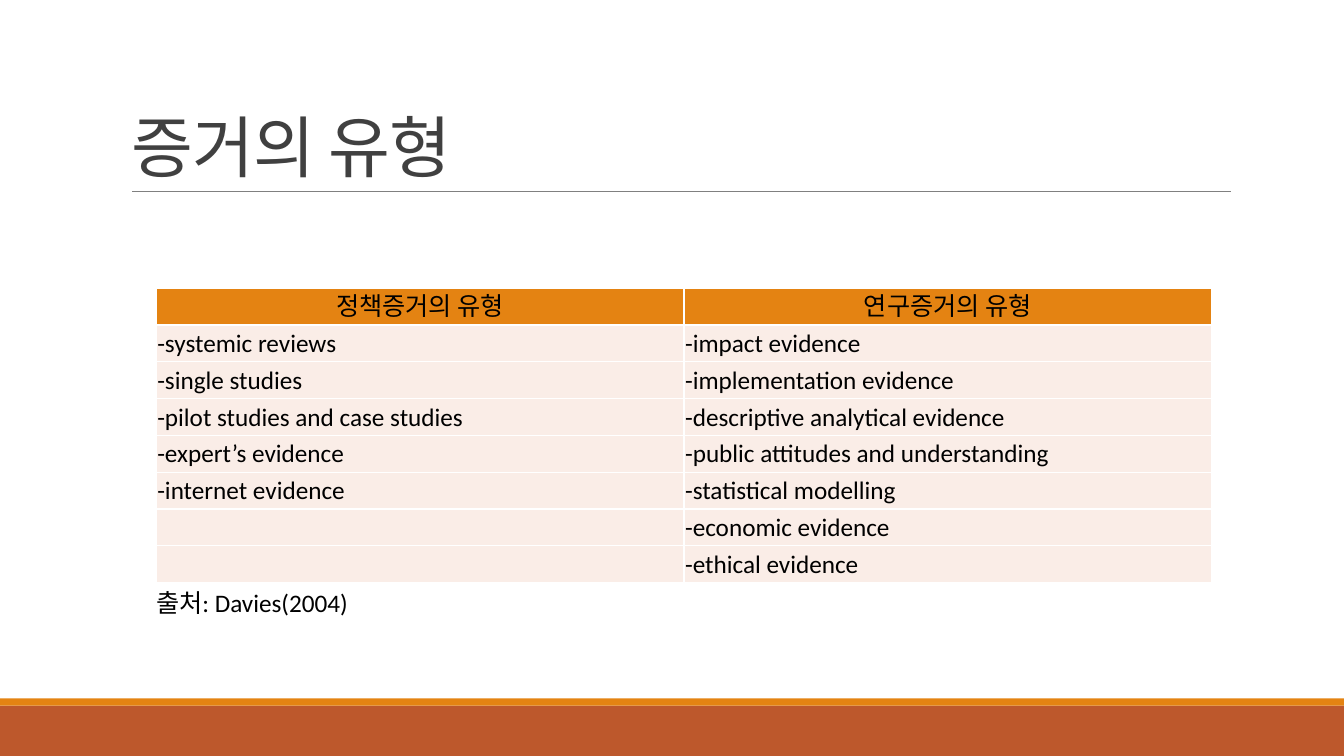
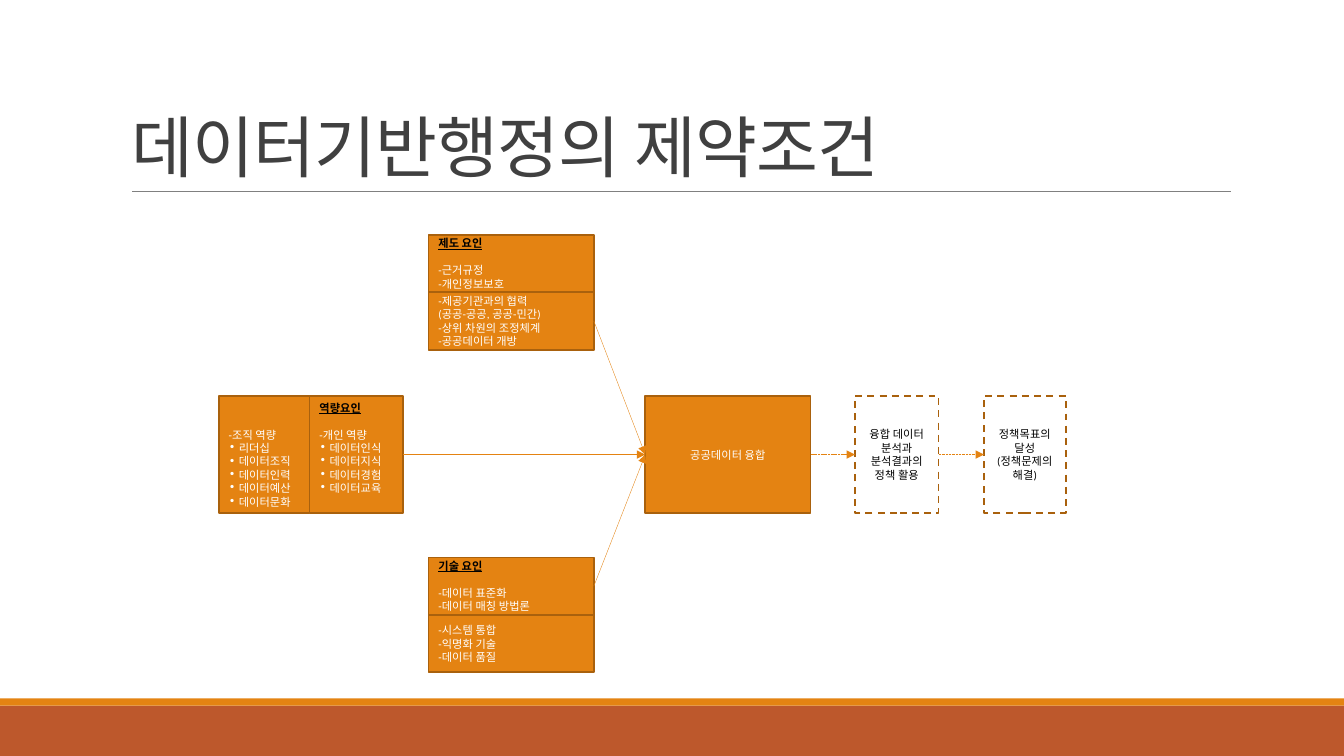
from itertools import zip_longest
from lxml import etree
from pptx import Presentation
from pptx.dml.color import RGBColor
from pptx.enum.dml import MSO_LINE
from pptx.enum.shapes import MSO_CONNECTOR, MSO_SHAPE
from pptx.enum.text import MSO_ANCHOR, PP_ALIGN
from pptx.oxml.ns import qn
from pptx.util import Inches, Pt

LEFT, CENTER, JUSTIFY = PP_ALIGN.LEFT, PP_ALIGN.CENTER, PP_ALIGN.JUSTIFY
MIDDLE, BOTTOM = MSO_ANCHOR.MIDDLE, MSO_ANCHOR.BOTTOM
RECT, STRAIGHT = MSO_SHAPE.RECTANGLE, MSO_CONNECTOR.STRAIGHT
DASH, DOTS = MSO_LINE.DASH, MSO_LINE.SQUARE_DOT
RIGHT_SIDE, LEFT_SIDE = 3, 1

FONT = "Calibri"
COLORS = {"orange": "E48312", "rust": "BD582C", "edge": "A9610D", "tint": "FAEDE7",
          "title": "404040", "rule": "808080", "white": "FFFFFF", "black": "000000"}
WIDTH, HEIGHT = 13.33, 7.5

# Content: slide 1
EVIDENCE_TITLE = "증거의 유형"
EVIDENCE = {
    "정책증거의 유형": ["systemic reviews", "single studies", "pilot studies and case studies",
                  "expert’s evidence", "internet evidence"],
    "연구증거의 유형": ["impact evidence", "implementation evidence",
                  "descriptive analytical evidence", "public attitudes and understanding",
                  "statistical modelling", "economic evidence", "ethical evidence"],
}
SOURCE = "출처: Davies(2004)"

# Content: slide 2, boxes as name: (heading, lines, bullets)
LIMITS_TITLE = "데이터기반행정의 제약조건"
FACTORS = {
    "rules": ("제도 요인", ["-근거규정", "-개인정보보호"], []),
    "cooperation": (None, ["-제공기관과의 협력", "(공공-공공, 공공-민간)",
                           "-상위 차원의 조정체계", "-공공데이터 개방"], []),
    "methods": ("기술 요인", ["-데이터 표준화", "-데이터 매칭 방법론"], []),
    "systems": (None, ["-시스템 통합", "-익명화 기술", "-데이터 품질"], []),
    "organisation": (None, ["-조직 역량"],
                     ["리더십", "데이터조직", "데이터인력", "데이터예산", "데이터문화"]),
    "individual": ("역량요인", ["-개인 역량"],
                   ["데이터인식", "데이터지식", "데이터경험", "데이터교육"]),
}
FUSION = ["공공데이터 융합"]
OUTCOMES = {
    "analysis": ["융합 데이터", "분석과", "분석결과의 정책 활용"],
    "goal": ["정책목표의 달성", "(정책문제의 해결)"],
}

# Diagram grid: factor column, main row, half-height boxes
FACTOR_X, FUSION_X, BOX_W, HALF_H = 4.25, 6.4, 1.64, 0.57
MAIN_Y, MAIN_H = 3.93, 1.16
RULES_Y, METHODS_Y = 2.33, 5.53
PLACES = {
    "rules": (FACTOR_X, RULES_Y, BOX_W, HALF_H),
    "cooperation": (FACTOR_X, RULES_Y + HALF_H, BOX_W, HALF_H),
    "methods": (FACTOR_X, METHODS_Y, BOX_W, HALF_H),
    "systems": (FACTOR_X, METHODS_Y + HALF_H, BOX_W, HALF_H),
    "organisation": (2.17, MAIN_Y, 0.9, MAIN_H),
    "individual": (3.07, MAIN_Y, 0.93, MAIN_H),
    "fusion": (FUSION_X, MAIN_Y, BOX_W, MAIN_H),
    "analysis": (8.48, MAIN_Y, 0.83, MAIN_H),
    "goal": (9.76, MAIN_Y, 0.81, MAIN_H),
}
# Insets (top, bottom) that move text off the middle
INSETS = {"organisation": (0.32, 0.05), "individual": (0.05, 0.18)}
ARROWS = [("individual", "fusion", None), ("cooperation", "fusion", None),
          ("methods", "fusion", None), ("fusion", "analysis", DOTS),
          ("analysis", "goal", DOTS)]


def rgb(name):
    return RGBColor.from_string(COLORS[name])


def write(tf, text, size=8, color="black", align=LEFT, bold=False, underline=False,
          bullet=False, after=0, spacing=None, tracking=None):
    """Add one paragraph; the first one fills the frame's empty paragraph."""
    p = tf.paragraphs[0] if not tf.text else tf.add_paragraph()
    p.alignment, p.space_before, p.space_after = align, Pt(0), Pt(after)
    if spacing:
        p.line_spacing = spacing
    if bullet:
        ppr = p._p.get_or_add_pPr()
        ppr.set("marL", str(Inches(0.1)))
        ppr.set("indent", str(-Inches(0.1)))
        etree.SubElement(ppr, qn("a:buChar"), char="∙")
    r = p.add_run()
    r.text = text
    f = r.font
    f.name, f.size, f.bold, f.underline = FONT, Pt(size), bold, underline
    f.color.rgb = rgb(color)
    rpr = r._r.get_or_add_rPr()
    etree.SubElement(rpr, qn("a:ea"), typeface=FONT)
    if tracking:
        rpr.set("spc", str(tracking))


def add_box(s, place, fill=None, edge=None, dash=None):
    sp = s.shapes.add_shape(RECT, *map(Inches, place))
    sp.shadow.inherit = False
    if fill:
        sp.fill.solid()
        sp.fill.fore_color.rgb = rgb(fill)
    else:
        sp.fill.background()
    if edge:
        sp.line.color.rgb = rgb(edge)
        sp.line.width = Pt(1.25)
        if dash:
            sp.line.dash_style = dash
    else:
        sp.line.fill.background()
    sp.text_frame.word_wrap = True
    sp.text_frame.vertical_anchor = MIDDLE
    return sp


def add_line(s, start, end, color, width):
    line = s.shapes.add_connector(STRAIGHT, *map(Inches, start + end))
    line.line.color.rgb = rgb(color)
    line.line.width = Pt(width)
    etree.SubElement(line._element.spPr, qn("a:effectLst"))
    return line


def add_arrow(s, source, target, dash):
    line = add_line(s, (0, 0), (1, 1), "orange", 0.25)
    line.begin_connect(source, RIGHT_SIDE)
    line.end_connect(target, LEFT_SIDE)
    if dash:
        line.line.dash_style = dash
    etree.SubElement(line.line._get_or_add_ln(), qn("a:tailEnd"), type="triangle")


def add_slide(prs, layout, title):
    s = prs.slides.add_slide(layout)
    tf = s.shapes.title.text_frame
    tf.vertical_anchor, tf.word_wrap = BOTTOM, True
    write(tf, title, size=48, color="title", spacing=0.85, tracking=-50)
    return s


def decorate(layout, s):
    """Draw the bands and title rule, then move them to the shared layout."""
    parts = [add_box(s, (0, 7, WIDTH, 0.5), "rust"),
             add_box(s, (0, 6.93, WIDTH, 0.07), "orange"),
             add_line(s, (1.31, 1.9), (12.21, 1.9), "rule", 0.5)]
    for part in parts:
        layout.shapes._spTree.append(part._element)


def fill_cell(cell, text, fill, align):
    cell.fill.solid()
    cell.fill.fore_color.rgb = rgb(fill)
    cell.vertical_anchor = MIDDLE
    cell.margin_left = cell.margin_right = cell.margin_top = Inches(0.01)
    cell.margin_bottom = 0
    if text:
        write(cell.text_frame, text, size=18, align=align)
    tcpr = cell._tc.get_or_add_tcPr()
    for i, side in enumerate(("lnL", "lnR", "lnT", "lnB")):
        ln = etree.Element(qn("a:" + side), w=str(Pt(1)))
        solid = etree.SubElement(ln, qn("a:solidFill"))
        etree.SubElement(solid, qn("a:srgbClr"), val=COLORS["white"])
        tcpr.insert(i, ln)


def evidence_slide(s):
    # Table: one column per kind of evidence
    rows = [tuple(EVIDENCE)] + [tuple("-" + t if t else "" for t in row)
                                for row in zip_longest(*EVIDENCE.values())]
    x, y, w, h = 1.55, 2.86, 10.47, 2.92
    table = s.shapes.add_table(len(rows), len(EVIDENCE), *map(Inches, (x, y, w, h))).table
    table.first_row = table.horz_banding = False
    for i, row in enumerate(rows):
        fill, align = ("tint", JUSTIFY) if i else ("orange", CENTER)
        for j, text in enumerate(row):
            fill_cell(table.cell(i, j), text, fill, align)
    # Source line under the table
    tf = s.shapes.add_textbox(*map(Inches, (x - 0.1, y + h, 2.5, 0.4))).text_frame
    tf.word_wrap = True
    write(tf, SOURCE, size=18)


def limits_slide(s):
    boxes = {}
    # Factor boxes
    for name, (heading, lines, bullets) in FACTORS.items():
        boxes[name] = add_box(s, PLACES[name], "orange", "edge")
        tf = boxes[name].text_frame
        top, bottom = INSETS.get(name, (0.05, 0.05))
        tf.margin_top, tf.margin_bottom = Inches(top), Inches(bottom)
        if heading:
            write(tf, heading, bold=True, underline=True, after=9.6)
        for text in lines:
            write(tf, text, color="white")
        for text in bullets:
            write(tf, text, color="white", bullet=True)
    # Fusion and its outcomes
    boxes["fusion"] = add_box(s, PLACES["fusion"], "orange", "edge")
    for text in FUSION:
        write(boxes["fusion"].text_frame, text, color="white", align=CENTER)
    for name, lines in OUTCOMES.items():
        boxes[name] = add_box(s, PLACES[name], edge="edge", dash=DASH)
        for text in lines:
            write(boxes[name].text_frame, text, align=CENTER)
    # Arrows
    for source, target, dash in ARROWS:
        add_arrow(s, boxes[source], boxes[target], dash)


def main():
    prs = Presentation()
    prs.slide_width, prs.slide_height = Inches(WIDTH), Inches(HEIGHT)
    layout = prs.slide_layouts.get_by_name("Title Only")
    title = layout.placeholders[0]
    title.left, title.top, title.width, title.height = map(Inches, (1.2, 0.31, 11, 1.59))
    evidence = add_slide(prs, layout, EVIDENCE_TITLE)
    decorate(layout, evidence)
    evidence_slide(evidence)
    limits_slide(add_slide(prs, layout, LIMITS_TITLE))
    prs.save("out.pptx")


if __name__ == "__main__":
    main()
